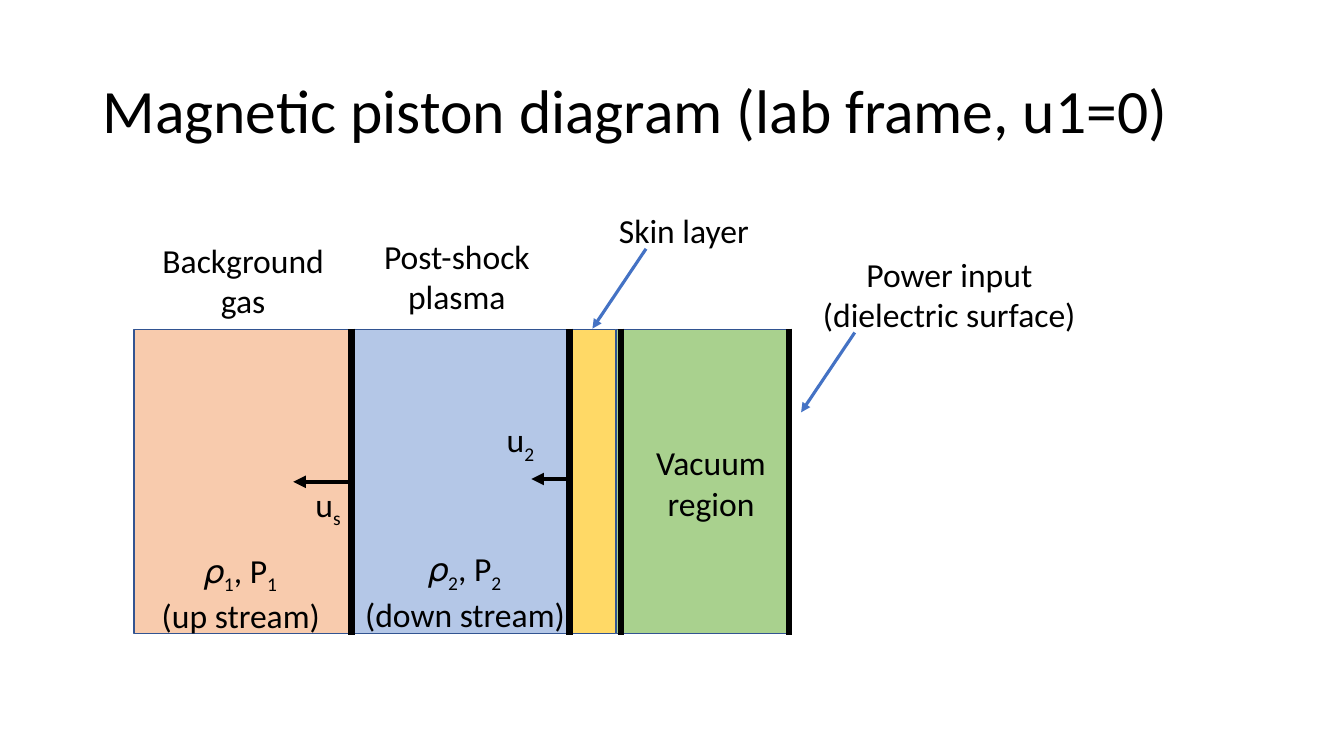
from pptx import Presentation
from pptx.dml.color import RGBColor
from pptx.enum.shapes import MSO_CONNECTOR, MSO_SHAPE
from pptx.enum.text import MSO_ANCHOR, MSO_AUTO_SIZE, PP_ALIGN
from pptx.oxml.ns import qn
from pptx.util import Cm, Pt
from lxml.etree import SubElement

COLORS = {
    "text": "000000", "wall": "000000", "outline": "325491", "pointer": "4472C4",
    "gas": "F8CBAD", "plasma": "B4C7E7", "skin": "FFD966", "vacuum": "A9D18E",
}
FONT = "Calibri"


def rgb(name):
    return RGBColor.from_string(COLORS[name])


def format_run(r, size):
    r.font.name = FONT
    r.font.size = Pt(size)
    r.font.color.rgb = rgb("text")


def add_label(slide, x, y, w, lines, align=PP_ALIGN.CENTER, height=2.31):
    """Write text lines; the character after each underscore is a subscript."""
    sp = slide.shapes.add_textbox(Cm(x), Cm(y), Cm(w), Cm(height))
    tf = sp.text_frame
    tf.word_wrap = True
    for i, line in enumerate(lines):
        p = tf.paragraphs[0] if i == 0 else tf.add_paragraph()
        p.alignment = align
        first, *rest = line.split("_")
        pieces = [(first, False)]
        for part in rest:
            pieces += [(part[0], True), (part[1:], False)]
        for text, is_sub in pieces:
            if text:
                r = p.add_run()
                r.text = text
                format_run(r, 24)
                if is_sub:
                    r.font._element.set("baseline", "-25000")


def add_line(slide, x1, y1, x2, y2, color, width, arrow=False):
    line = slide.shapes.add_connector(
        MSO_CONNECTOR.STRAIGHT, Cm(x1), Cm(y1), Cm(x2), Cm(y2))
    line.line.color.rgb = rgb(color)
    line.line.width = Pt(width)
    if arrow:
        SubElement(line.line._get_or_add_ln(), qn("a:tailEnd"), type="triangle")
    SubElement(line._element.spPr, qn("a:effectLst"))


def add_title(slide, x, y, w, h):
    title = slide.shapes.title
    title.left, title.top, title.width, title.height = Cm(x), Cm(y), Cm(w), Cm(h)
    tf = title.text_frame
    tf.text = "Magnetic piston diagram (lab frame, u1=0)"
    tf.auto_size = MSO_AUTO_SIZE.NONE
    tf.vertical_anchor = MSO_ANCHOR.MIDDLE
    p = tf.paragraphs[0]
    p.alignment = PP_ALIGN.LEFT
    p.line_spacing = 0.9
    format_run(p.runs[0], 44)


def add_piston(slide, x, y, h):
    # Coloured regions
    for dx, w, color in [(11.02, 1.12, "skin"), (5.56, 5.41, "plasma"),
                         (0, 5.41, "gas"), (12.16, 4.34, "vacuum")]:
        sp = slide.shapes.add_shape(
            MSO_SHAPE.RECTANGLE, Cm(x + dx), Cm(y), Cm(w), Cm(h))
        sp.shadow.inherit = False
        sp.fill.solid()
        sp.fill.fore_color.rgb = rgb(color)
        sp.line.color.rgb = rgb("outline")
        sp.line.width = Pt(1)

    # Shock front, skin layer edges and dielectric surface
    for dx in (5.48, 10.97, 12.27, 16.51):
        add_line(slide, x + dx, y - 0.03, x + dx, y + h + 0.03, "wall", 4.5)

    # Velocity arrows
    for start, end, dy in [(5.48, 4.01, 3.83), (10.97, 10.01, 3.76)]:
        add_line(slide, x + start, y + dy, x + end, y + dy, "wall", 3, arrow=True)
    for dx, dy, w, text in [(4.32, 3.76, 1.17, "u_s"), (9.14, 2.13, 1.37, "u_2")]:
        add_label(slide, x + dx, y + dy, w, [text], PP_ALIGN.LEFT, 1.27)

    # State labels inside the regions
    for dx, dy, w, lines in [
        (0.43, 5.41, 4.52, ["𝜌_1, P_1", "(up stream)"]),
        (5.43, 5.38, 5.82, ["𝜌_2, P_2", "(down stream)"]),
        (12.57, 2.71, 3.94, ["Vacuum region"]),
    ]:
        add_label(slide, x + dx, y + dy, w, lines)


def add_callouts(slide, x, y):
    # Names above the regions
    for dx, dy, w, h, text in [
        (0.4, -2.39, 4.7, 2.31, "Background gas"),
        (5.1, -2.49, 6.07, 2.31, "Post-shock plasma"),
        (11.58, -3.15, 4.55, 1.27, "Skin layer"),
        (16.81, -2.04, 7.47, 2.31, "Power input (dielectric surface)"),
    ]:
        add_label(slide, x + dx, y + dy, w, [text], height=h)

    # Pointers, both with the same slope
    for dx, dy in [(12.9, -2.04), (18.16, 0.07)]:
        add_line(slide, x + dx, y + dy, x + dx - 1.35, y + dy + 2.01,
                 "pointer", 2.25, arrow=True)


def main():
    prs = Presentation()
    prs.slide_width, prs.slide_height = Cm(33.87), Cm(19.05)
    slide = prs.slides.add_slide(prs.slide_layouts[5])
    add_title(slide, 2.33, 1.01, 29.21, 3.68)
    add_piston(slide, 3.38, 8.31, 7.65)
    add_callouts(slide, 3.38, 8.31)
    prs.save("out.pptx")


if __name__ == "__main__":
    main()
